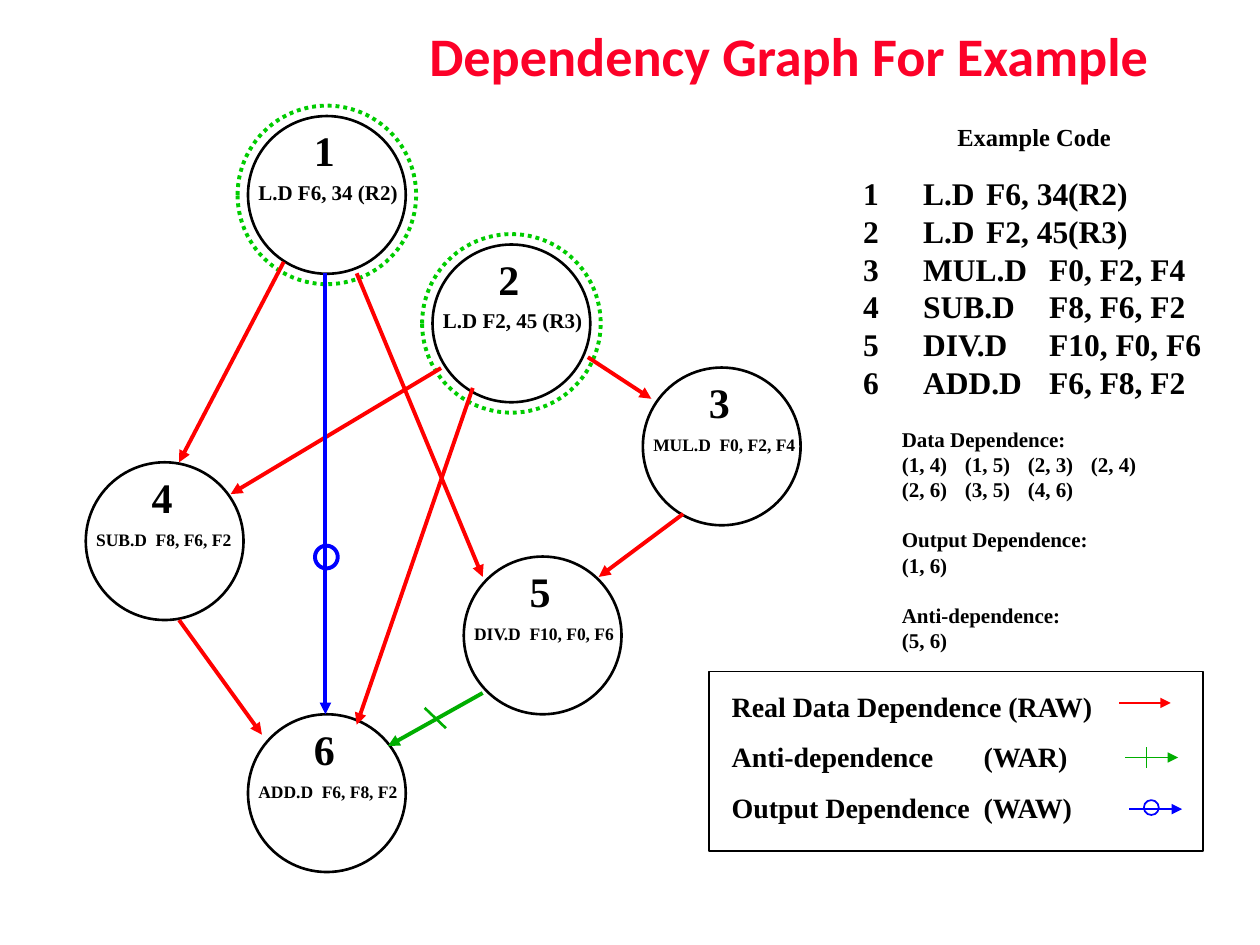
from dataclasses import dataclass

from lxml.etree import SubElement
from pptx import Presentation
from pptx.dml.color import RGBColor
from pptx.enum.dml import MSO_LINE
from pptx.enum.shapes import MSO_CONNECTOR, MSO_SHAPE
from pptx.enum.text import MSO_ANCHOR, MSO_AUTO_SIZE, PP_ALIGN
from pptx.oxml.ns import qn
from pptx.util import Cm, Pt

Point = tuple[float, float]


@dataclass(frozen=True)
class Theme:
    ink: str = "000000"
    title: str = "FC0128"
    raw: str = "FF0000"
    war: str = "00AE00"
    waw: str = "0000FF"
    halo: str = "00CC00"
    serif: str = "Times New Roman"
    sans: str = "Calibri"
    huge: float = 31
    digit: float = 24
    code: float = 18
    key: float = 16
    head: float = 14
    note: float = 12
    small: float = 10
    thick: float = 2.25
    mid: float = 1.5
    thin: float = 1


@dataclass(frozen=True)
class Node:
    num: int
    left: float
    top: float
    label: str
    ready: bool = False


@dataclass(frozen=True)
class Edge:
    start: Point
    end: Point
    color: str
    width: float = 2.25
    arrow: bool = True


T = Theme()
SIZE = 3.18  # node diameter
HALO = 3.6

NODES = [
    Node(1, 5, 2.34, "L.D F6, 34 (R2)", True),
    Node(2, 8.72, 4.93, "L.D F2, 45 (R3)", True),
    Node(3, 12.96, 7.41, "MUL.D  F0, F2, F4"),
    Node(4, 1.73, 9.32, "SUB.D  F8, F6, F2"),
    Node(5, 9.35, 11.22, "DIV.D  F10, F0, F6"),
    Node(6, 5, 14.4, "ADD.D  F6, F8, F2"),
]
EDGES = [
    Edge((11.85, 7.2), (13.13, 8.04), T.raw),
    Edge((5.72, 5.28), (3.61, 9.32), T.raw),
    Edge((8.89, 7.42), (4.65, 9.96), T.raw),
    Edge((13.77, 10.36), (12.07, 11.63), T.raw),
    Edge((7.19, 5.51), (9.73, 11.63), T.raw),
    Edge((3.61, 12.5), (5.28, 14.81), T.raw),
    Edge((9.53, 7.82), (7.19, 14.61), T.raw),
    Edge((8.56, 14.27), (8.99, 14.68), T.war, T.mid, False),
    Edge((9.73, 13.97), (7.82, 15.04), T.war),
    Edge((6.56, 5.51), (6.56, 14.4), T.waw),
    Edge((22.56, 14.17), (23.6, 14.17), T.raw, T.thin),
    Edge((22.68, 15.27), (23.75, 15.27), T.war, T.thin),
    Edge((23.11, 15.06), (23.11, 15.49), T.war, T.thin, False),
    Edge((22.76, 16.31), (23.83, 16.31), T.waw, T.thin),
]
CODE = ["L.D\tF6, 34(R2)", "L.D\tF2, 45(R3)", "MUL.D\tF0, F2, F4",
        "SUB.D\tF8, F6, F2", "DIV.D\tF10, F0, F6", "ADD.D\tF6, F8, F2"]
DEPS = ["Data Dependence:", "(1, 4)\t(1, 5)\t(2, 3)\t(2, 4)",
        "(2, 6)\t(3, 5)\t(4, 6)", "Output Dependence:", "(1, 6)",
        "Anti-dependence:", "(5, 6)"]
KEYS = ["Real Data Dependence (RAW)", "Anti-dependence\t(WAR)",
        "Output Dependence\t(WAW)"]


def place(shape, left: float, top: float, width: float, height: float) -> None:
    shape.left, shape.top = Cm(left), Cm(top)
    shape.width, shape.height = Cm(width), Cm(height)


def write(shape, lines: list[str], *, size: float, font: str = T.serif,
          color: str = T.ink, align=PP_ALIGN.LEFT, anchor=MSO_ANCHOR.TOP,
          tabs: tuple = (), gaps: tuple = (), gap: float = 0,
          pitch: float = 1.2) -> None:
    """Fill a shape with bold lines; gaps lists the lines with extra space above."""
    frame = shape.text_frame
    frame.word_wrap = True
    frame.auto_size = MSO_AUTO_SIZE.NONE
    frame.vertical_anchor = anchor
    frame.margin_left, frame.margin_right = Cm(0.25), Cm(0)
    frame.margin_top = frame.margin_bottom = Cm(0.13)
    for i, line in enumerate(lines):
        para = frame.paragraphs[0] if i == 0 else frame.add_paragraph()
        para.alignment = align
        para.line_spacing = Pt(size * pitch)
        para.space_before = Pt(gap if i in gaps else 0)
        props = para._p.get_or_add_pPr()
        props.set("marL", "0")
        props.set("indent", "0")
        SubElement(props, qn("a:buNone"))
        if tabs:
            stops = SubElement(props, qn("a:tabLst"))
            for tab in tabs:
                SubElement(stops, qn("a:tab"), pos=str(Cm(tab)), algn="l")
        run = para.add_run()
        run.text = line
        run.font.size, run.font.bold, run.font.name = Pt(size), True, font
        run.font.color.rgb = RGBColor.from_string(color)


def label(slide, lines: list[str], box: tuple, **style) -> None:
    write(slide.shapes.add_textbox(*map(Cm, box)), lines, **style)


def outline(slide, kind, box: tuple, color: str, width: float, dash=None) -> None:
    shape = slide.shapes.add_shape(kind, *map(Cm, box))
    shape.shadow.inherit = False
    shape.fill.background()
    shape.line.color.rgb = RGBColor.from_string(color)
    shape.line.width = Pt(width)
    if dash:
        shape.line.dash_style = dash


def ring(slide, left: float, top: float, size: float, color: str,
         width: float, dash=None) -> None:
    outline(slide, MSO_SHAPE.OVAL, (left, top, size, size), color, width, dash)


def link(slide, edge: Edge) -> None:
    line = slide.shapes.add_connector(
        MSO_CONNECTOR.STRAIGHT, *map(Cm, edge.start + edge.end))
    line.line.color.rgb = RGBColor.from_string(edge.color)
    line.line.width = Pt(edge.width)
    if edge.arrow:
        SubElement(line.line._get_or_add_ln(), qn("a:tailEnd"), type="triangle")
    SubElement(line._element.spPr, qn("a:effectLst"))


def draw(slide, node: Node) -> None:
    x, y = node.left, node.top
    ring(slide, x, y, SIZE, T.ink, T.mid)
    size, drop = (T.note, 1.14) if node.ready else (T.small, 1.22)
    label(slide, [node.label], (x - 0.04, y + drop, 3.35, 1.12), size=size)
    label(slide, [str(node.num)], (x + 1.08, y + 0.05, 0.91, 1.27), size=T.digit)
    if node.ready:
        shift = (HALO - SIZE) / 2
        ring(slide, x - shift, y - shift, HALO, T.halo, T.thick,
             MSO_LINE.ROUND_DOT)


def main() -> None:
    deck = Presentation()
    deck.slide_width, deck.slide_height = Cm(25.4), Cm(19.05)
    slide = deck.slides.add_slide(deck.slide_layouts[1])
    title, body = slide.placeholders
    place(title, 6.14, 0, 19.26, 2.34)
    write(title, ["Dependency Graph For Example"], size=T.huge, font=T.sans,
          color=T.title, align=PP_ALIGN.CENTER, anchor=MSO_ANCHOR.MIDDLE,
          pitch=1.1)
    place(body, 17.93, 8.46, 5.97, 4.83)
    write(body, DEPS, size=T.note, tabs=(1.45, 2.78, 4.11), gaps=(3, 5), gap=14.4)

    label(slide, ["Example Code"], (19.05, 2.34, 3.61, 0.86), size=T.head)
    label(slide, [str(node.num) for node in NODES], (17.15, 3.38, 0.81, 4.83),
          size=T.code)
    label(slide, CODE, (18.36, 3.38, 6.12, 4.83), size=T.code, tabs=(2.54,))

    for node in NODES:
        draw(slide, node)
    outline(slide, MSO_SHAPE.RECTANGLE, (14.3, 13.54, 9.96, 3.61), T.ink, T.thin)
    label(slide, KEYS, (14.5, 13.77, 7.92, 2.97), size=T.key, tabs=(5.48,),
          gaps=(1, 2), gap=9.6)
    for edge in EDGES:
        link(slide, edge)
    ring(slide, 6.35, 11, 0.46, T.waw, T.thick)
    ring(slide, 23.06, 16.13, 0.3, T.waw, T.thin)
    deck.save("out.pptx")


if __name__ == "__main__":
    main()
